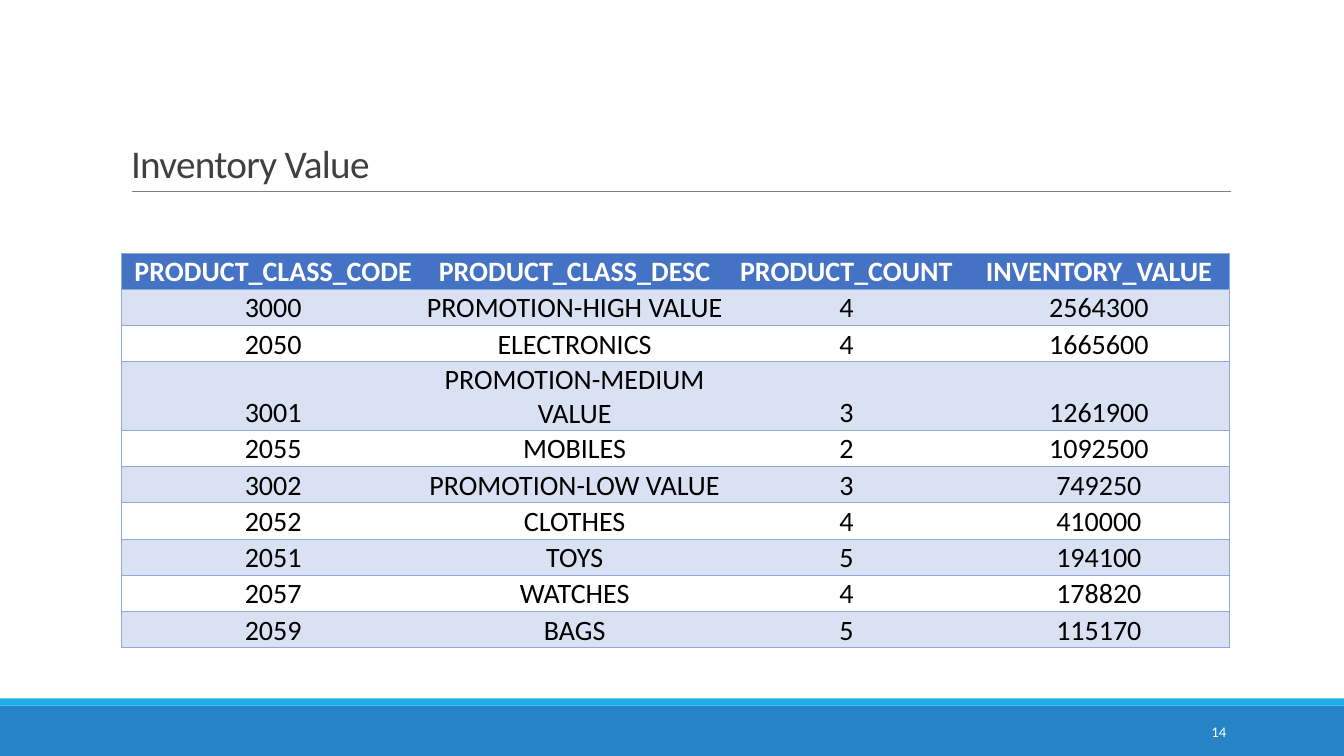
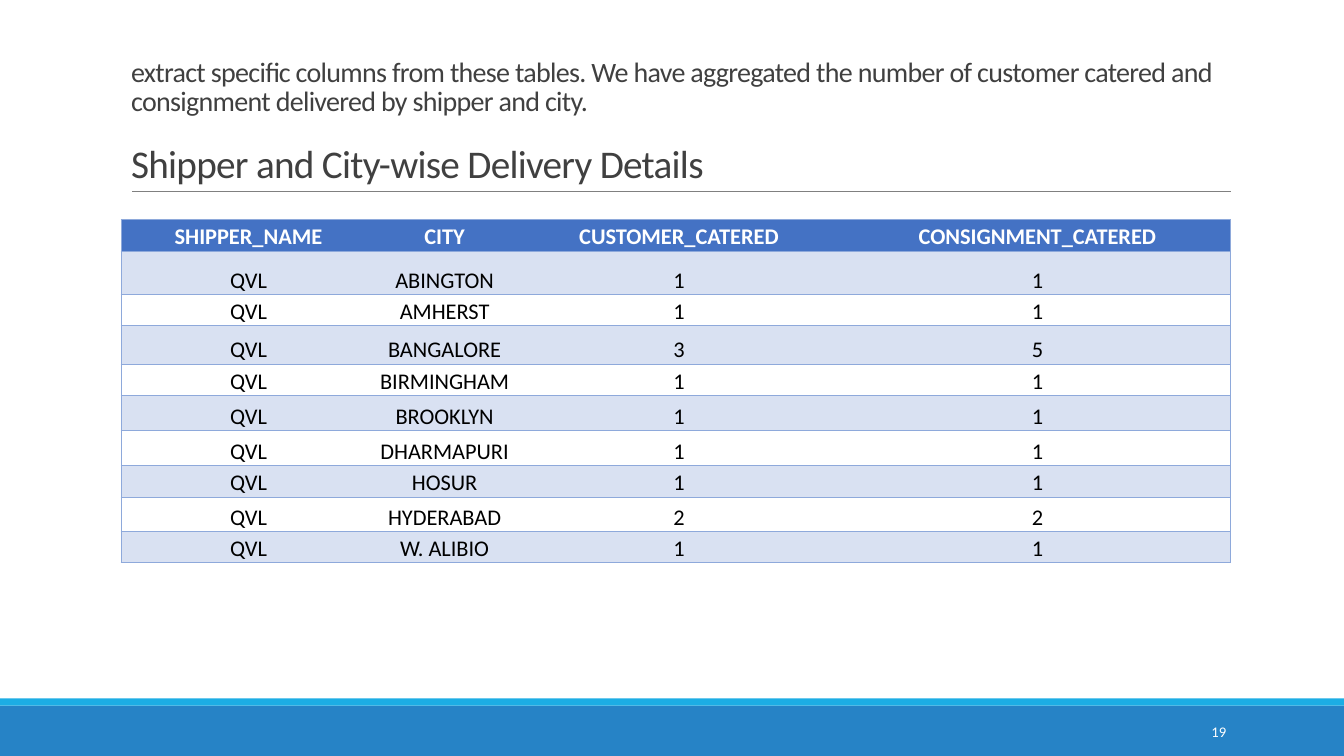
"""Build two report slides: inventory value and delivery details."""
import pptx
import pptx.dml.color
import pptx.enum.shapes
import pptx.enum.text
import pptx.oxml
import pptx.oxml.ns
import pptx.oxml.xmlchemy
import pptx.util
from pptx.util import Inches

FONT = "Calibri"
COLORS = {
    "band": "2683C6", "stripe": "1CADE4", "rule": "808080", "title": "404040",
    "header": "4472C4", "row": "D9E1F2", "border": "8EA9DB",
    "white": "FFFFFF", "black": "000000",
}
CARRIER = "QVL"
DELIVERIES = [
    ("ABINGTON", 1, 1), ("AMHERST", 1, 1), ("BANGALORE", 3, 5),
    ("BIRMINGHAM", 1, 1), ("BROOKLYN", 1, 1), ("DHARMAPURI", 1, 1),
    ("HOSUR", 1, 1), ("HYDERABAD", 2, 2), ("W. ALIBIO", 1, 1),
]
SLIDES = [
    {
        "number": 14,
        "title": [("Inventory Value", 28, 0)],
        "top": 2.51,
        "size": 20,
        "cols": [3.02, 2.96, 2.43, 2.58],
        "heights": [0.36] * 3 + [0.65] + [0.36] * 6,
        "rows": [
            ("PRODUCT_CLASS_CODE", "PRODUCT_CLASS_DESC", "PRODUCT_COUNT", "INVENTORY_VALUE"),
            (3000, "PROMOTION-HIGH VALUE", 4, 2564300),
            (2050, "ELECTRONICS", 4, 1665600),
            (3001, "PROMOTION-MEDIUM VALUE", 3, 1261900),
            (2055, "MOBILES", 2, 1092500),
            (3002, "PROMOTION-LOW VALUE", 3, 749250),
            (2052, "CLOTHES", 4, 410000),
            (2051, "TOYS", 5, 194100),
            (2057, "WATCHES", 4, 178820),
            (2059, "BAGS", 5, 115170),
        ],
    },
    {
        "number": 19,
        "title": [
            ("extract specific columns from these tables. We have aggregated the number of "
             "customer catered and consignment delivered by shipper and city.", 20, 0),
            ("Shipper and City-wise Delivery Details", 28, 21),
        ],
        "top": 2.18,
        "size": 16,
        "cols": [2.53, 1.36, 3.29, 3.82],
        "heights": [0.31, 0.43, 0.31, 0.38, 0.31, 0.35, 0.35, 0.31, 0.34, 0.31],
        "rows": [("SHIPPER_NAME", "CITY", "CUSTOMER_CATERED", "CONSIGNMENT_CATERED")]
        + [(CARRIER, *delivery) for delivery in DELIVERIES],
    },
]
LEFT, WIDTH = 1.2, 11
NO_STYLE = "{2D5ABB26-0587-4C30-8999-92F81FD0307C}"


def rgb(name):
    return pptx.dml.color.RGBColor.from_string(COLORS[name])


def style(p, size, color, align, bold=False):
    p.alignment = align
    p.font.name = FONT
    p.font.size = pptx.util.Pt(size)
    p.font.bold = bold
    p.font.color.rgb = rgb(color)


def add_frame(slide, number):
    for color, top, height in [("band", 7, 0.5), ("stripe", 6.93, 0.07)]:
        sp = slide.shapes.add_shape(pptx.enum.shapes.MSO_SHAPE.RECTANGLE,
                                    0, Inches(top), Inches(13.33), Inches(height))
        sp.shadow.inherit = False
        sp.fill.solid()
        sp.fill.fore_color.rgb = rgb(color)
        sp.line.fill.background()
    rule = slide.shapes.add_connector(pptx.enum.shapes.MSO_CONNECTOR.STRAIGHT,
                                      Inches(1.31), Inches(1.9), Inches(12.21), Inches(1.9))
    rule.line.color.rgb = rgb("rule")
    rule.line.width = pptx.util.Pt(0.5)
    rule._element.spPr.append(pptx.oxml.xmlchemy.OxmlElement("a:effectLst"))
    box = slide.shapes.add_textbox(Inches(10.83), Inches(7.06), Inches(1.43), Inches(0.4))
    tf = box.text_frame
    tf.word_wrap = True
    tf.vertical_anchor = pptx.enum.text.MSO_ANCHOR.MIDDLE
    tf.text = str(number)
    style(tf.paragraphs[0], 10.5, "white", pptx.enum.text.PP_ALIGN.RIGHT)


def set_title(slide, lines):
    title = slide.shapes.title
    title.left, title.top = Inches(LEFT), Inches(0.31)
    title.width, title.height = Inches(WIDTH), Inches(1.59)
    tf = title.text_frame
    tf.word_wrap = True
    tf.auto_size = pptx.enum.text.MSO_AUTO_SIZE.NONE
    tf.vertical_anchor = pptx.enum.text.MSO_ANCHOR.BOTTOM
    tf.text = "\n".join(text for text, _, _ in lines)
    for p, (_, size, gap) in zip(tf.paragraphs, lines):
        style(p, size, "title", pptx.enum.text.PP_ALIGN.LEFT)
        p.line_spacing = 0.85
        p.space_before = pptx.util.Pt(gap)
        p.runs[0]._r.get_or_add_rPr().set("spc", "-50")


def add_border(cell, sides):
    tc_pr = cell._tc.get_or_add_tcPr()
    for side in sides:
        tc_pr.append(pptx.oxml.parse_xml(
            f'<a:ln{side} {pptx.oxml.ns.nsdecls("a")} w="6350"><a:solidFill>'
            f'<a:srgbClr val="{COLORS["border"]}"/></a:solidFill></a:ln{side}>'))


def add_grid(slide, top, size, cols, heights, rows):
    frame = slide.shapes.add_table(len(rows), len(cols), Inches(LEFT), Inches(top),
                                   Inches(WIDTH), Inches(sum(heights)))
    table = frame.table
    table.horz_banding = False
    table._tbl.tblPr.find(pptx.oxml.ns.qn("a:tableStyleId")).text = NO_STYLE
    for column, width in zip(table.columns, cols):
        column.width = Inches(width)
    for i, (height, values) in enumerate(zip(heights, rows)):
        table.rows[i].height = Inches(height)
        for j, value in enumerate(values):
            cell = table.cell(i, j)
            cell.margin_left = cell.margin_right = cell.margin_top = Inches(0.01)
            cell.margin_bottom = 0
            cell.vertical_anchor = pptx.enum.text.MSO_ANCHOR.BOTTOM
            add_border(cell, "L" * (j == 0) + "R" * (j == len(cols) - 1) + "TB")
            if i == 0 or i % 2:
                cell.fill.solid()
                cell.fill.fore_color.rgb = rgb("row" if i else "header")
            else:
                cell.fill.background()
            cell.text = str(value)
            style(cell.text_frame.paragraphs[0], size, "black" if i else "white",
                  pptx.enum.text.PP_ALIGN.CENTER, bold=i == 0)


def main():
    prs = pptx.Presentation()
    prs.slide_width, prs.slide_height = Inches(13.33), Inches(7.5)
    for data in SLIDES:
        slide = prs.slides.add_slide(prs.slide_layouts[5])
        add_frame(slide, data["number"])
        set_title(slide, data["title"])
        add_grid(slide, data["top"], data["size"], data["cols"], data["heights"], data["rows"])
    prs.save("out.pptx")


if __name__ == "__main__":
    main()
